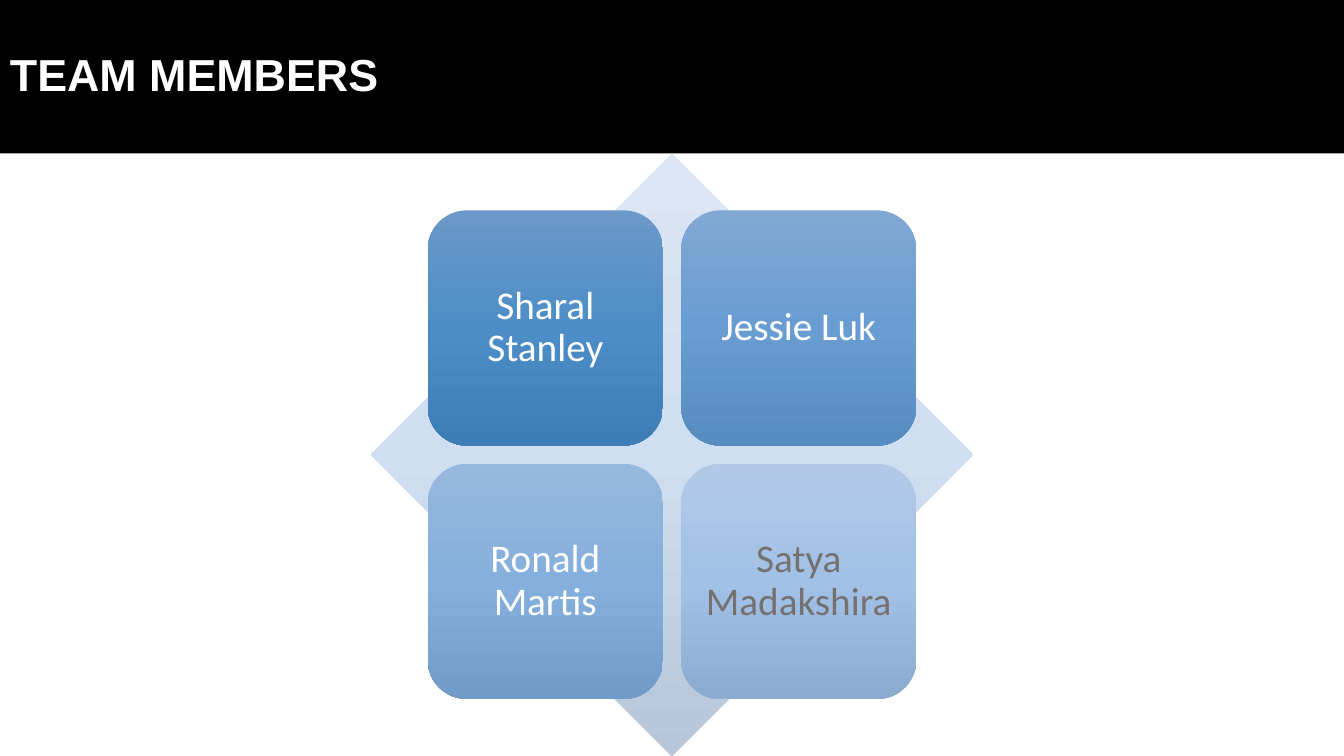
"""Build the team members slide: a title band above four tiles on a diamond."""
from copy import deepcopy
from dataclasses import dataclass

from pptx import Presentation
from pptx.dml.color import RGBColor
from pptx.enum import shapes, text
from pptx.oxml.ns import qn
from pptx.util import Pt

SLIDE_WIDTH, SLIDE_HEIGHT = 960, 540
BAND_HEIGHT = 109.5
DIAMOND_SIZE = SLIDE_HEIGHT - BAND_HEIGHT
CENTER_X = SLIDE_WIDTH / 2
CENTER_Y = BAND_HEIGHT + DIAMOND_SIZE / 2
TILE_SIZE, TILE_GAP = 168, 13
TILE_INSET = 8.64
DIAMOND_COLORS = ("DBE5F3", "D0DEF1", "B6C5D9")


@dataclass(frozen=True)
class Member:
    """A team member and the colours of the matching tile."""
    name: str
    gradient: tuple[str, str, str]
    font_color: str = "FFFFFF"


MEMBERS = (
    Member("Sharal Stanley", ("6B99C9", "4D8DC7", "3E7EB7")),
    Member("Jessie Luk", ("80A8D3", "699DD2", "578CC0")),
    Member("Ronald Martis", ("97B8DE", "85AFDC", "719BC9")),
    Member("Satya Madakshira", ("B1C9E7", "A2C1E6", "8CABD1"), "767171"),
)


def rgb(value: str) -> RGBColor:
    """Turn a hex string into a colour."""
    return RGBColor.from_string(value)


def add_plain_shape(container, kind, left: float, top: float,
                    width: float, height: float):
    """Add a preset shape without outline or shadow."""
    shape = container.add_shape(kind, Pt(left), Pt(top), Pt(width), Pt(height))
    shape.shadow.inherit = False
    shape.line.fill.background()
    return shape


def fill_gradient(shape, colors: tuple[str, str, str]) -> None:
    """Fill a shape with three evenly spaced colours from top to bottom."""
    shape.fill.gradient()
    shape.fill.gradient_angle = 270
    stop_list = shape._element.spPr.find(qn("a:gradFill")).find(qn("a:gsLst"))
    stop_list.insert(1, deepcopy(stop_list[0]))
    for index, (stop, color) in enumerate(zip(shape.fill.gradient_stops, colors)):
        stop.position = index / 2
        stop.color.rgb = rgb(color)


def write_text(shape, content: str, font_name: str, size: float, color: str,
               alignment, bold: bool = False) -> None:
    """Write one vertically centred paragraph in a shape."""
    frame = shape.text_frame
    frame.word_wrap = True
    frame.vertical_anchor = text.MSO_ANCHOR.MIDDLE
    paragraph = frame.paragraphs[0]
    paragraph.alignment = alignment
    paragraph.line_spacing = 0.9
    run = paragraph.add_run()
    run.text = content
    run.font.name = font_name
    run.font.size = Pt(size)
    run.font.bold = bold
    run.font.color.rgb = rgb(color)


def add_title_band(container, title: str) -> None:
    """Add the black band with the slide title."""
    band = add_plain_shape(container, shapes.MSO_SHAPE.RECTANGLE,
                           0, 0, SLIDE_WIDTH, BAND_HEIGHT)
    band.fill.solid()
    band.fill.fore_color.rgb = rgb("000000")
    write_text(band, title, "Arial", 32, "FFFFFF", text.PP_ALIGN.LEFT, bold=True)


def add_tile(container, member: Member, row: int, column: int) -> None:
    """Add one member's tile at its place in the two-by-two grid."""
    pitch = TILE_SIZE + TILE_GAP
    left = CENTER_X - TILE_SIZE - TILE_GAP / 2 + column * pitch
    top = CENTER_Y - TILE_SIZE - TILE_GAP / 2 + row * pitch
    tile = add_plain_shape(container, shapes.MSO_SHAPE.ROUNDED_RECTANGLE,
                           left, top, TILE_SIZE, TILE_SIZE)
    fill_gradient(tile, member.gradient)
    frame = tile.text_frame
    frame.margin_left = frame.margin_right = Pt(TILE_INSET)
    frame.margin_top = frame.margin_bottom = Pt(TILE_INSET)
    write_text(tile, member.name, "Calibri", 28, member.font_color,
               text.PP_ALIGN.CENTER)


def add_team_matrix(container) -> None:
    """Add the diamond and the member tiles as one group."""
    group = container.add_group_shape()
    diamond = add_plain_shape(group.shapes, shapes.MSO_SHAPE.DIAMOND,
                              CENTER_X - DIAMOND_SIZE / 2, BAND_HEIGHT,
                              DIAMOND_SIZE, DIAMOND_SIZE)
    fill_gradient(diamond, DIAMOND_COLORS)
    for index, member in enumerate(MEMBERS):
        add_tile(group.shapes, member, *divmod(index, 2))


def main() -> None:
    """Build and save the presentation."""
    presentation = Presentation()
    presentation.slide_width = Pt(SLIDE_WIDTH)
    presentation.slide_height = Pt(SLIDE_HEIGHT)
    slide = presentation.slides.add_slide(presentation.slide_layouts[6])
    add_title_band(slide.shapes, "TEAM MEMBERS")
    add_team_matrix(slide.shapes)
    presentation.save("out.pptx")


main()
